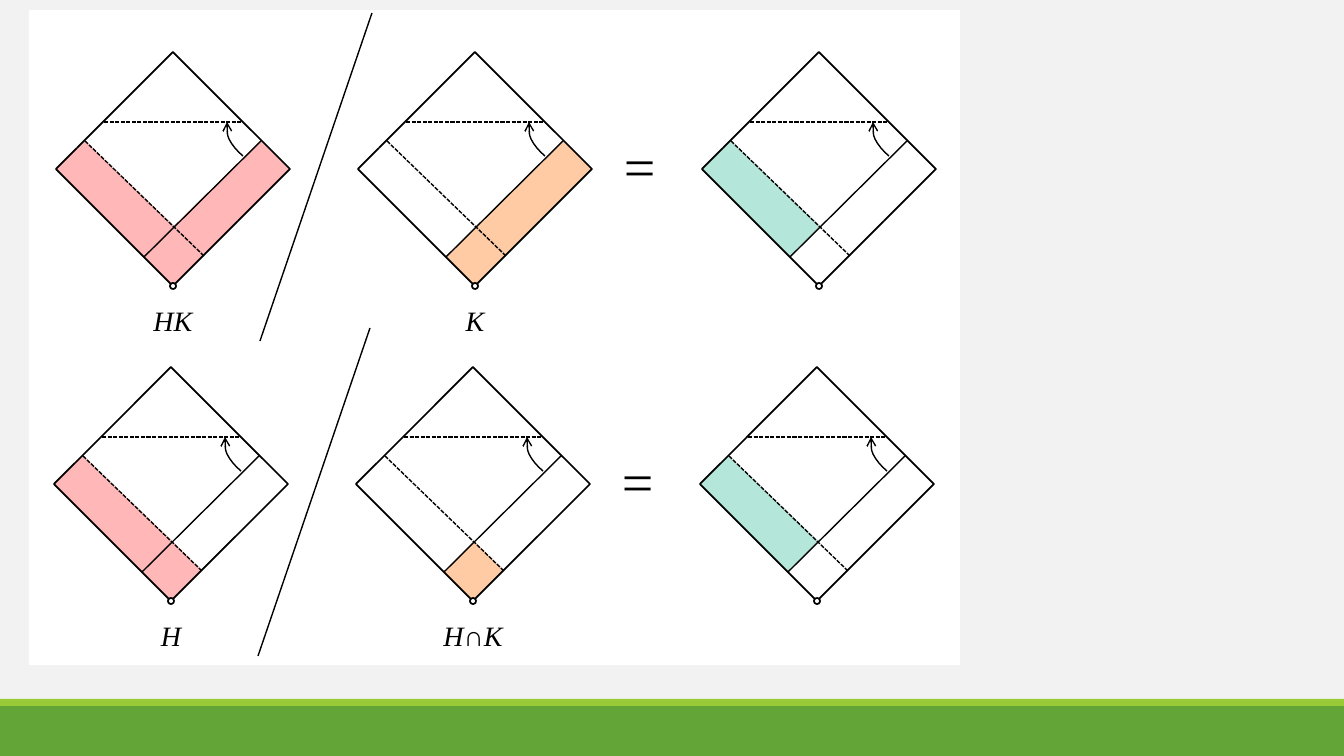
from pptx import Presentation
from pptx.dml.color import RGBColor
from pptx.enum.dml import MSO_LINE
from pptx.enum.shapes import MSO_CONNECTOR, MSO_SHAPE
from pptx.enum.text import PP_ALIGN
from pptx.oxml.ns import qn
from pptx.util import Pt
from lxml.etree import SubElement

THEME = {
    "back": "F2F2F2", "panel": "FFFFFF", "ink": "000000",
    "strip": "99CB38", "footer": "63A537",
    "pink": "FFB7B7", "orange": "FECBA4", "green": "B4E6DA",
    "font": "Times New Roman", "label": 20, "equals": 40,
    "edge": 1.25, "thin": 1,
}
SCALE = 914400 / 100.8

# Points of one lattice, measured in pixels from its centre
WEST, NORTH, EAST, SOUTH = (-117, 0), (0, -117), (117, 0), (0, 117)
LEFT, RIGHT = (-88, -28), (88, -28)
LOW_LEFT, LOW_RIGHT = (-29, 88), (31, 87)
CROSS = (1, 57)
SPLIT_LEFT, SPLIT_RIGHT = (-96, -21), (65, 52)
TOP_LEFT, TOP_RIGHT = (-69, -47), (69, -47)
ARROW = [(70, -13), (64, -18), (59, -24), (56, -30), (54, -35), (54, -41), (54, -47)]
HALVES = [[SPLIT_RIGHT, SOUTH, WEST, SPLIT_LEFT],
          [SPLIT_LEFT, NORTH, EAST, SPLIT_RIGHT]]
CHORDS = [(LEFT, LOW_RIGHT, True), (LOW_LEFT, RIGHT, False),
          (TOP_LEFT, TOP_RIGHT, True)]

QUOTIENT = ("", "green", [LEFT, WEST, LOW_LEFT, CROSS])
ROWS = [
    [("HK", "pink", [LEFT, WEST, SOUTH, EAST, RIGHT, CROSS]),
     ("K", "orange", [RIGHT, EAST, SOUTH, LOW_LEFT]), QUOTIENT],
    [("H", "pink", [LEFT, WEST, SOUTH, LOW_RIGHT, CROSS]),
     ("H∩K", "orange", [CROSS, LOW_RIGHT, SOUTH, LOW_LEFT]), QUOTIENT],
]
BANDS = [("footer", 0, 706, 1344, 50), ("strip", 0, 699, 1344, 7),
         ("panel", 29, 10, 931, 655)]
COLUMNS = [173, 475, 819]
TOP = 169
STEP = (-2, 315)
SLASH = ((372, 13), (260, 341))
EQUALS = (614, 127, 64, 77)


def emu(*sizes):
    """Turn pixels into EMU."""
    return [round(size * SCALE) for size in sizes]


def shift(points, x, y):
    """Move points by x and y."""
    return [(px + x, py + y) for px, py in points]


def paint(shape, fill=None, line=None):
    """Set the fill and outline of a shape, and drop its shadow."""
    shape.shadow.inherit = False
    if fill:
        shape.fill.solid()
        shape.fill.fore_color.rgb = RGBColor.from_string(THEME[fill])
    else:
        shape.fill.background()
    if line:
        stroke(shape.line, line)
    else:
        shape.line.fill.background()
    return shape


def stroke(line, width):
    """Set an ink line of a theme width."""
    line.color.rgb = RGBColor.from_string(THEME["ink"])
    line.width = Pt(THEME[width])


def block(kind, x, y, w, h, **look):
    """Add a preset shape."""
    return paint(slide.shapes.add_shape(kind, *emu(x, y, w, h)), **look)


def outline(points, close=False, **look):
    """Add a freeform through the points."""
    pen = slide.shapes.build_freeform(*points[0], scale=SCALE)
    pen.add_line_segments(points[1:], close=close)
    return paint(pen.convert_to_shape(), **look)


def link(start, end, dash=False):
    """Add a thin straight line, dashed on request."""
    line = slide.shapes.add_connector(MSO_CONNECTOR.STRAIGHT, *emu(*start, *end))
    stroke(line.line, "thin")
    if dash:
        line.line.dash_style = MSO_LINE.SQUARE_DOT
    SubElement(line.element.spPr, qn("a:effectLst"))


def arrow(points):
    """Add a Bezier arrow: a start, then three points per curve."""
    shape = outline(points, line="thin")
    path = next(shape.element.iter(qn("a:path")))
    steps = path.findall(qn("a:lnTo"))
    for i in range(0, len(steps), 3):
        curve = SubElement(path, qn("a:cubicBezTo"))
        for step in steps[i:i + 3]:
            curve.append(step[0])
            path.remove(step)
    SubElement(shape.line._get_or_add_ln(), qn("a:tailEnd"), type="arrow")


def write(text, x, y, w, h, size="label", align=PP_ALIGN.CENTER, italic=True):
    """Add unwrapped text; only letters take the italic."""
    frame = slide.shapes.add_textbox(*emu(x, y, w, h)).text_frame
    frame.word_wrap = False
    para = frame.paragraphs[0]
    para.alignment = align
    parts = text.partition("∩")
    for part in filter(None, parts):
        run = para.add_run()
        run.text = part
        run.font.name = THEME["font"]
        run.font.size = Pt(THEME[size])
        run.font.italic = italic and part != "∩"
        run.font.color.rgb = RGBColor.from_string(THEME["ink"])


def lattice(x, y, label, fill, region):
    """Draw one lattice with its shaded region and label."""
    outline(shift(region, x, y), close=True, fill=fill)
    for half in HALVES:
        outline(shift(half, x, y), line="edge")
    block(MSO_SHAPE.OVAL, x - 3, y + SOUTH[1] - 3, 6, 6, fill="panel", line="edge")
    for start, end, dash in CHORDS:
        link(*shift([start, end], x, y), dash=dash)
    arrow(shift(ARROW, x, y))
    if label:
        write(label, x - 40, y + 130, 80, 44)


deck = Presentation()
deck.slide_width, deck.slide_height = emu(1344, 756)
slide = deck.slides.add_slide(deck.slide_layouts[6])
slide.background.fill.solid()
slide.background.fill.fore_color.rgb = RGBColor.from_string(THEME["back"])

for name, *box in BANDS:
    block(MSO_SHAPE.RECTANGLE, *box, fill=name)
for i, row in enumerate(ROWS):
    dx, dy = i * STEP[0], i * STEP[1]
    for x, item in zip(COLUMNS, row):
        lattice(x + dx, TOP + dy, *item)
    link(*shift(SLASH, dx, dy))
    x, y, w, h = EQUALS
    write("=", x + dx, y + dy, w, h, size="equals", align=PP_ALIGN.LEFT, italic=False)

deck.save("out.pptx")
